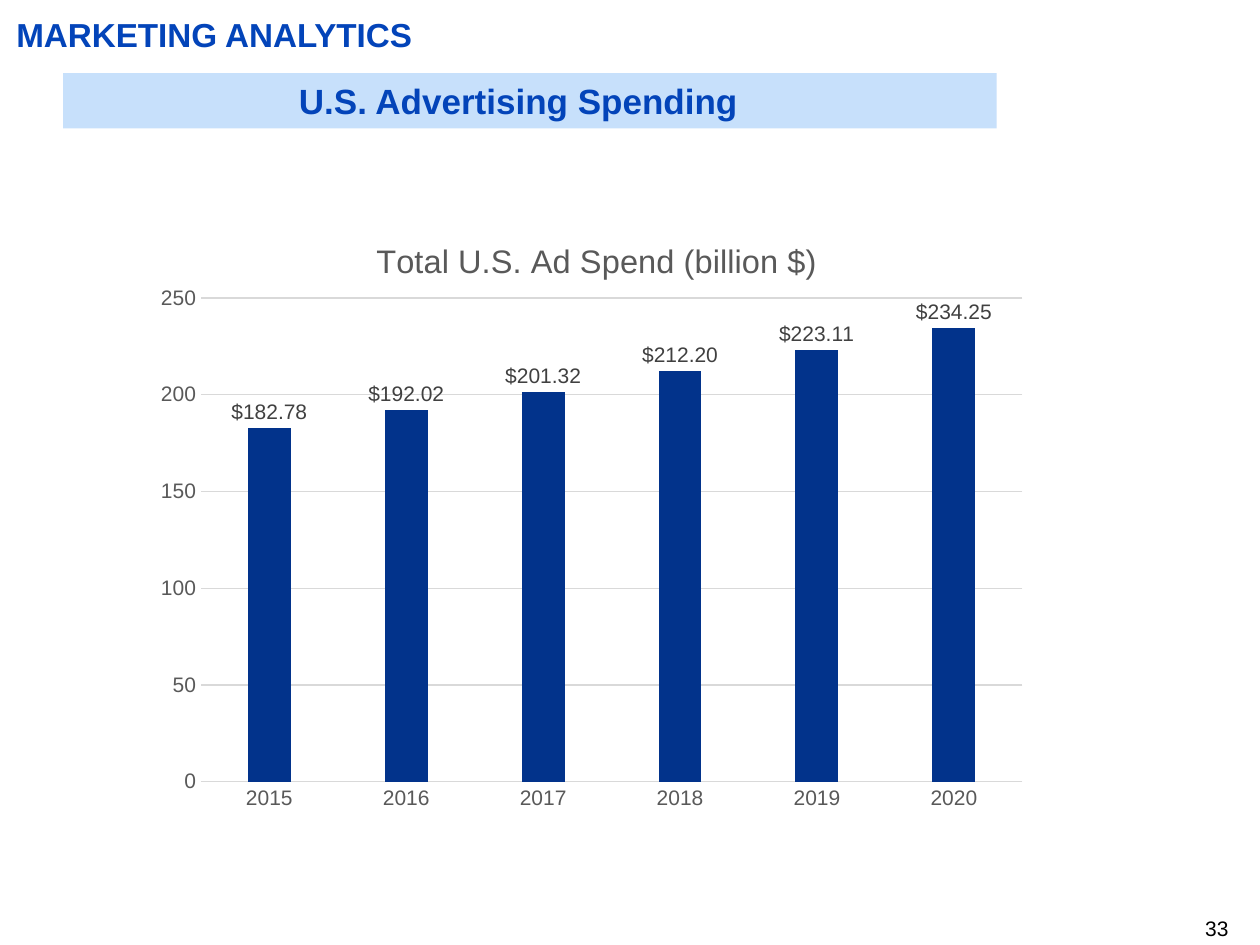
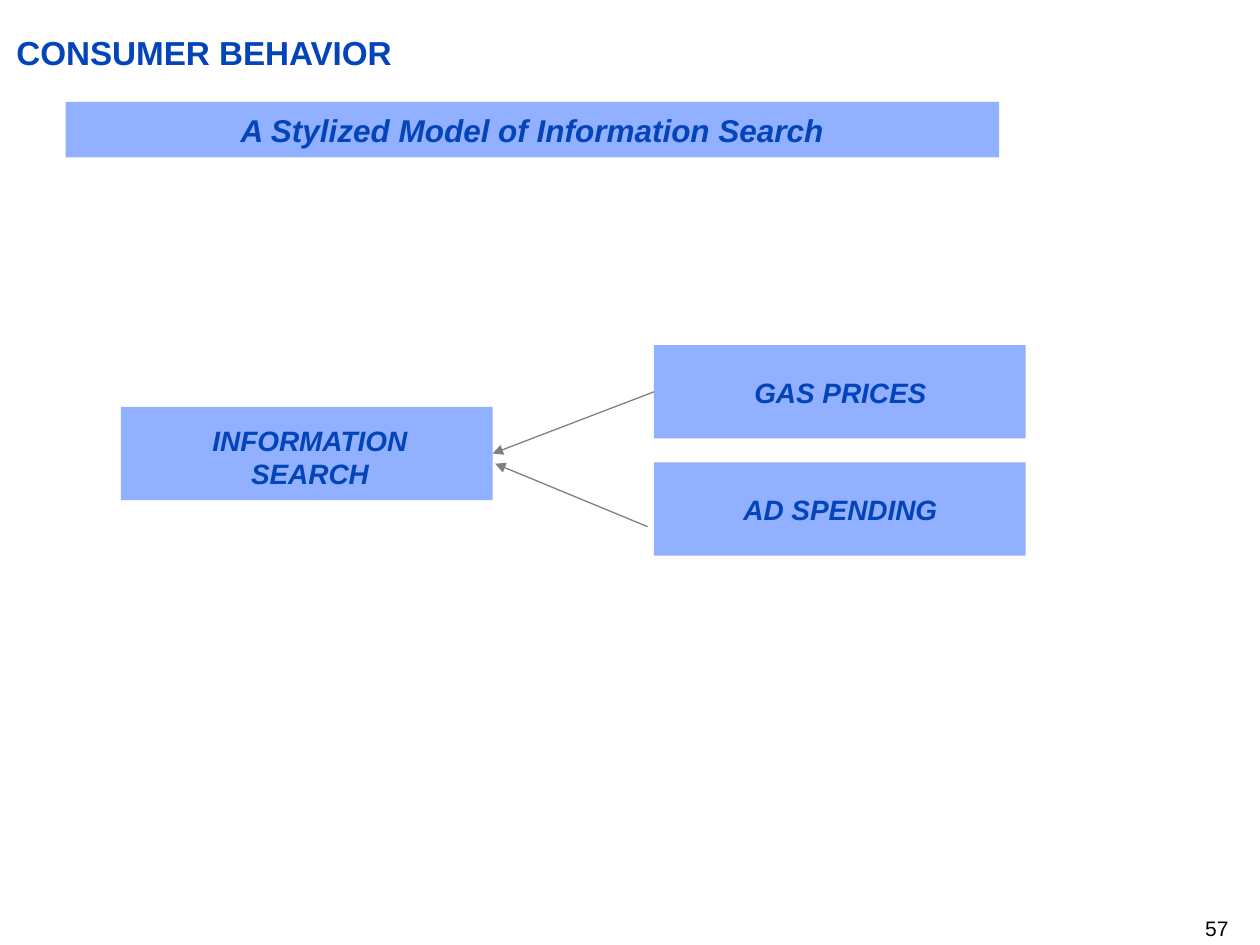
from dataclasses import dataclass
from typing import Optional

from pptx import Presentation
from pptx import util as u
from pptx.chart.data import CategoryChartData
from pptx.dml.color import RGBColor
from pptx.enum import chart as charts, shapes, text
from pptx.oxml import parse_xml
from pptx.oxml.ns import nsdecls, qn
from pptx.oxml.xmlchemy import OxmlElement

CELL = u.Inches(0.1)  # the slide is a grid of 100 columns by 75 rows


@dataclass(frozen=True)
class Theme:
    font: str = "Arial"
    accent: str = "0344B9"
    pale_band: str = "C7E0FB"
    strong_band: str = "91B0FF"
    bar: str = "02338B"
    label: str = "404040"
    axis_text: str = "595959"
    grid: str = "D9D9D9"
    arrow: str = "808080"
    ink: str = "000000"
    title_size: float = 19
    banner_size: float = 20
    model_size: float = 18
    node_size: float = 16
    chart_title_size: float = 18.6
    small_size: float = 12
    hairline: float = 0.75


THEME = Theme()


@dataclass(frozen=True)
class Area:
    """A rectangle in grid columns and rows."""
    col: float
    row: float
    cols: float
    rows: float

    def emu(self) -> list[int]:
        return [int(n * CELL) for n in (self.col, self.row, self.cols, self.rows)]


@dataclass(frozen=True)
class Band:
    words: str
    area: Area
    fill: str
    size: float
    italic: bool = True
    left: float = 1
    right: float = 1
    drop: float = 0  # extra rows above the words


PAGE_NUMBER = Area(76.7, 72.7, 20.8, 2)
CHART = Area(11.3, 16.4, 71.3, 48.8)
PLOT = Area(15.95, 23.65, 65.2, 38.4)
CHART_TITLE = Area(29.4, 18.5, 35, 3)
AD_SPEND = {"2015": 182.78, "2016": 192.02, "2017": 201.32,
            "2018": 212.20, "2019": 223.11, "2020": 234.25}

SPENDING_BANNER = Band("U.S. Advertising Spending", Area(5, 5.8, 74.1, 4.4),
                       THEME.pale_band, THEME.banner_size, italic=False, right=2.8)
MODEL_BANNER = Band("A Stylized Model of Information Search", Area(5.2, 8.1, 74.1, 4.4),
                    THEME.strong_band, THEME.model_size)


def model_node(words: str, col: float, row: float, left: float = 4.5,
               drop: float = 0) -> Band:
    return Band(words, Area(col, row, 29.5, 7.4), THEME.strong_band,
                THEME.node_size, left=left, right=4, drop=drop)


GAS_PRICES = model_node("GAS PRICES", 51.9, 27.4, left=4.1)
AD_SPENDING = model_node("AD SPENDING", 51.9, 36.7, left=4.1)
INFORMATION_SEARCH = model_node("INFORMATION SEARCH", 9.6, 32.3, drop=0.5)


def style_font(font, size: float, color: str, bold: bool = False,
               italic: bool = False) -> None:
    font.name = THEME.font
    font.size = u.Pt(size)
    font.bold, font.italic = bold, italic
    font.color.rgb = RGBColor.from_string(color)


def write(frame, words: str, *, size: float, color: str, bold: bool = False,
          italic: bool = False, align=text.PP_ALIGN.LEFT,
          anchor=text.MSO_ANCHOR.TOP, margins=(0, 0, 0, 0)) -> None:
    """Set the words of a text frame; margins are left, top, right, bottom cells."""
    frame.word_wrap = True
    frame.auto_size = text.MSO_AUTO_SIZE.NONE
    frame.vertical_anchor = anchor
    (frame.margin_left, frame.margin_top,
     frame.margin_right, frame.margin_bottom) = (int(m * CELL) for m in margins)
    paragraph = frame.paragraphs[0]
    paragraph.alignment = align
    run = paragraph.add_run()
    run.text = words
    style_font(run.font, size, color, bold, italic)


def add_page(deck, heading: str, heading_row: float, number: str):
    """Add a title-only slide with its heading and page number."""
    slide = deck.slides.add_slide(deck.slide_layouts[5])
    title = slide.shapes.title
    title.left, title.top, title.width, title.height = Area(
        1.3, heading_row, 96.2, 3.2).emu()
    write(title.text_frame, heading, size=THEME.title_size, color=THEME.accent, bold=True)
    page = slide.shapes.add_textbox(*PAGE_NUMBER.emu())
    write(page.text_frame, number, size=THEME.small_size, color=THEME.ink,
          align=text.PP_ALIGN.RIGHT)
    return slide


def add_band(slide, band: Band):
    shape = slide.shapes.add_shape(shapes.MSO_SHAPE.RECTANGLE, *band.area.emu())
    shape.shadow.inherit = False
    shape.fill.solid()
    shape.fill.fore_color.rgb = RGBColor.from_string(band.fill)
    shape.line.fill.background()
    write(shape.text_frame, band.words, size=band.size, color=THEME.accent, bold=True,
          italic=band.italic, align=text.PP_ALIGN.CENTER, anchor=text.MSO_ANCHOR.MIDDLE,
          margins=(band.left, band.drop, band.right, 0))
    return shape


def style_line(line, color: str) -> None:
    line.color.rgb = RGBColor.from_string(color)
    line.width = u.Pt(THEME.hairline)


def add_arrow(slide, start: tuple[float, float], end: tuple[float, float],
              source: Optional[object] = None, target: Optional[object] = None) -> None:
    """Draw an arrow, joining source's left side to target's right side if given."""
    points = [int(n * CELL) for n in (*start, *end)]
    arrow = slide.shapes.add_connector(shapes.MSO_CONNECTOR.STRAIGHT, *points)
    if source is not None:
        arrow.begin_connect(source, 1)
    if target is not None:
        arrow.end_connect(target, 3)
    style_line(arrow.line, THEME.arrow)
    properties = arrow.element.spPr
    head = OxmlElement("a:tailEnd")
    head.set("type", "triangle")
    properties.find(qn("a:ln")).append(head)
    properties.append(OxmlElement("a:effectLst"))


def chart_layout(area: Area, sized: bool):
    """Manual chart layout, as shares of the chart's own area."""
    shares = {"x": (area.col - CHART.col) / CHART.cols,
              "y": (area.row - CHART.row) / CHART.rows}
    modes = '<c:xMode val="edge"/><c:yMode val="edge"/>'
    if sized:
        shares |= {"w": area.cols / CHART.cols, "h": area.rows / CHART.rows}
        modes = '<c:layoutTarget val="inner"/>' + modes
    values = "".join(f'<c:{key} val="{share:.4f}"/>' for key, share in shares.items())
    return parse_xml(f'<c:layout {nsdecls("c")}><c:manualLayout>{modes}{values}'
                     '</c:manualLayout></c:layout>')


def place_in_chart(chart) -> None:
    title = chart.chart_title._element
    plot_area = chart._chartSpace.chart.plotArea
    for parent in (title, plot_area):
        for old in parent.findall(qn("c:layout")):
            parent.remove(old)
    title.find(qn("c:tx")).addnext(chart_layout(CHART_TITLE, sized=False))
    plot_area.insert(0, chart_layout(PLOT, sized=True))


def add_spend_chart(slide) -> None:
    spend = CategoryChartData()
    spend.categories = list(AD_SPEND)
    spend.add_series("Series 1", list(AD_SPEND.values()))
    chart = slide.shapes.add_chart(charts.XL_CHART_TYPE.COLUMN_CLUSTERED,
                                   *CHART.emu(), spend).chart
    style_font(chart.font, THEME.small_size, THEME.axis_text)
    chart.has_legend = False
    chart.has_title = True
    heading = chart.chart_title.text_frame.paragraphs[0].add_run()
    heading.text = "Total U.S. Ad Spend (billion $)"
    style_font(heading.font, THEME.chart_title_size, THEME.axis_text)
    chart.chart_title.include_in_layout = False

    for axis in (chart.category_axis, chart.value_axis):
        axis.major_tick_mark = axis.minor_tick_mark = charts.XL_TICK_MARK.NONE
        style_font(axis.tick_labels.font, THEME.small_size, THEME.axis_text)
    style_line(chart.category_axis.format.line, THEME.grid)
    amounts = chart.value_axis
    amounts.minimum_scale, amounts.maximum_scale, amounts.major_unit = 0, 250, 50
    amounts.format.line.fill.background()
    style_line(amounts.major_gridlines.format.line, THEME.grid)

    plot = chart.plots[0]
    plot.vary_by_categories = False
    plot.gap_width, plot.overlap = 219, -27
    bars = plot.series[0]
    bars.format.fill.solid()
    bars.format.fill.fore_color.rgb = RGBColor.from_string(THEME.bar)
    labels = bars.data_labels
    labels.show_value = True
    labels.number_format, labels.number_format_is_linked = '"$"#,##0.00', False
    labels.position = charts.XL_LABEL_POSITION.OUTSIDE_END
    style_font(labels.font, THEME.small_size, THEME.label)
    place_in_chart(chart)


def build_spending(deck) -> None:
    slide = add_page(deck, "MARKETING ANALYTICS", 1.1, "33")
    add_band(slide, SPENDING_BANNER)
    add_spend_chart(slide)


def build_search_model(deck) -> None:
    slide = add_page(deck, "CONSUMER BEHAVIOR", 2.6, "57")
    add_band(slide, MODEL_BANNER)
    gas, search, _ = (add_band(slide, node)
                      for node in (GAS_PRICES, INFORMATION_SEARCH, AD_SPENDING))
    add_arrow(slide, (51.9, 31.1), (39.1, 36), source=gas, target=search)
    add_arrow(slide, (51.4, 41.8), (39.3, 36.8))


def main() -> None:
    deck = Presentation()
    deck.slide_width, deck.slide_height = 100 * CELL, 75 * CELL
    build_spending(deck)
    build_search_model(deck)
    deck.save("out.pptx")


if __name__ == "__main__":
    main()
